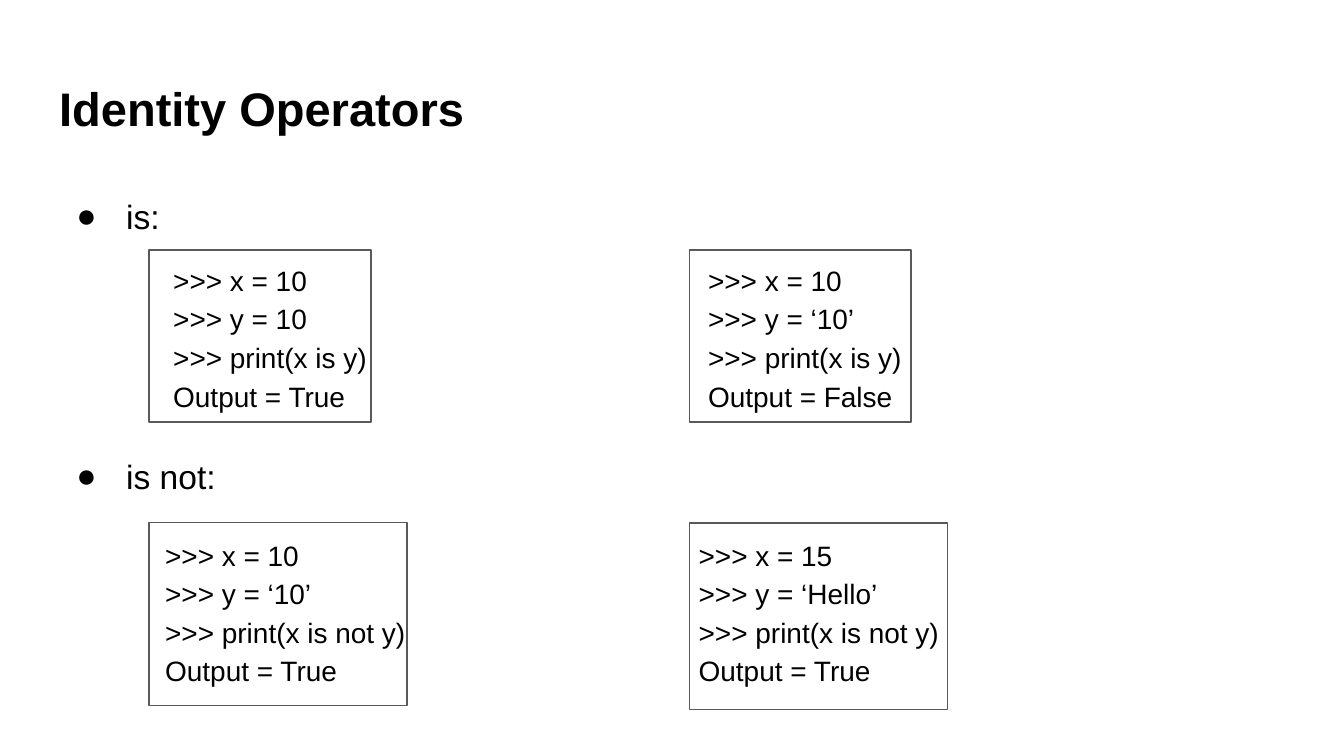
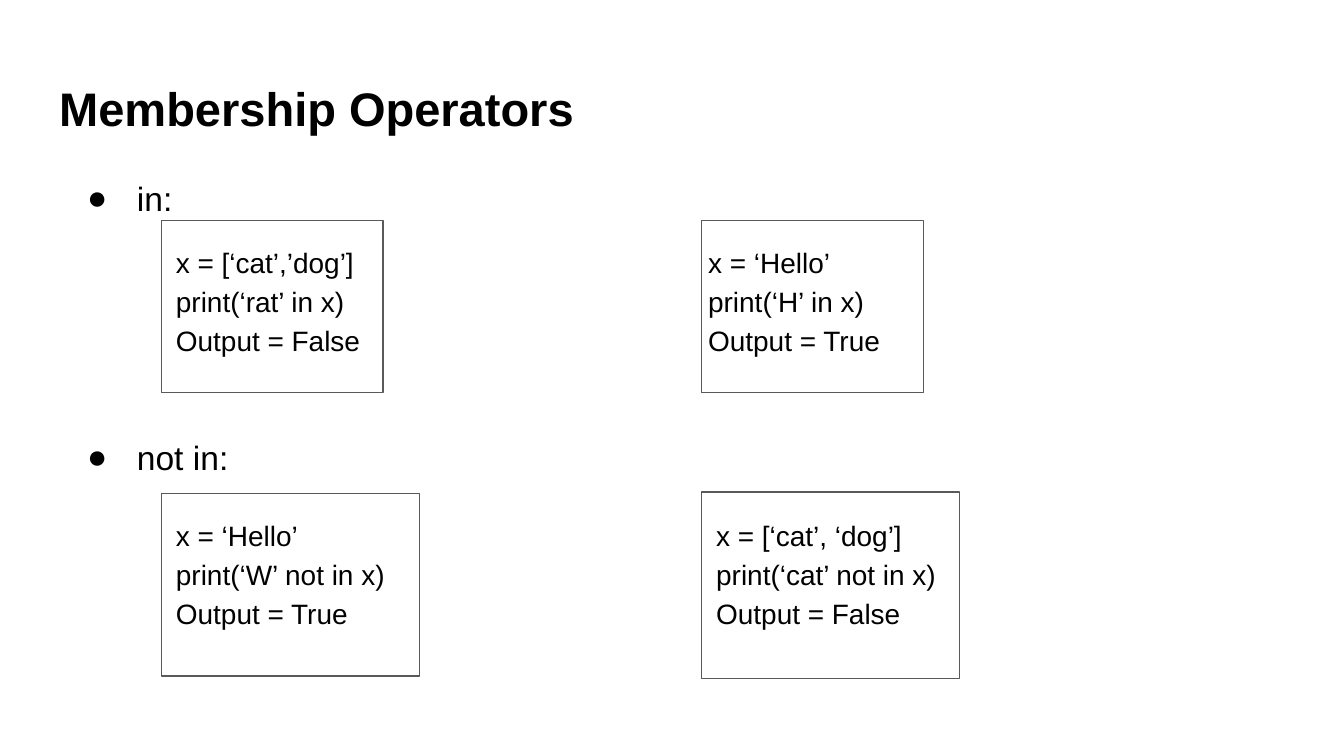
from lxml import etree
from pptx import Presentation
from pptx.dml.color import RGBColor
from pptx.enum.shapes import MSO_SHAPE
from pptx.enum.text import MSO_ANCHOR, MSO_AUTO_SIZE, PP_ALIGN
from pptx.oxml.ns import qn
from pptx.util import Inches, Pt

FONT = "Arial"
BLACK, GRAY = "000000", "595959"
CODE_LINE = 19.8  # height of one code line in points
COLUMN_PITCH = 4.02

# Each operator: name, space above it, space above its code, tab stops,
# code lines (left example, right example), box width, (top, height) of boxes.
SLIDES = [
    ("Identity Operators", 0.34, 1.31, 1.11, [
        ("is:", 0, 12, (0.85, 4.83), [
            (">>> x = 10", ">>> x = 10"),
            (">>> y = 10", ">>> y = ‘10’"),
            (">>> print(x is y)", ">>> print(x is y)"),
            ("Output = True", "Output = False"),
        ], 1.65, [(1.86, 1.28), (1.86, 1.28)]),
        ("is not:", CODE_LINE, CODE_LINE, (0.79, 4.76), [
            (">>> x = 10", ">>> x = 15"),
            (">>> y = ‘10’", ">>> y = ‘Hello’"),
            (">>> print(x is not y)", ">>> print(x is not y)"),
            ("Output = True", "Output = True"),
        ], 1.92, [(3.89, 1.36), (3.89, 1.39)]),
    ]),
    ("Membership Operators", 0.42, 1.18, 1.2, [
        ("in:", 0, 12, (0.79, 4.75), [
            ("x = [‘cat’,’dog’]", "x = ‘Hello’"),
            ("print(‘rat’ in x)", "print(‘H’ in x)"),
            ("Output = False", "Output = True"),
        ], 1.65, [(1.64, 1.28), (1.64, 1.28)]),
        ("not in:", 2 * CODE_LINE, CODE_LINE, (0.79, 4.81), [
            ("x = ‘Hello’", "x = [‘cat’, ‘dog’]"),
            ("print(‘W’ not in x)", "print(‘cat’ not in x)"),
            ("Output = True", "Output = False"),
        ], 1.92, [(3.67, 1.36), (3.66, 1.39)]),
    ]),
]


def rgb(color):
    return RGBColor.from_string(color)


def add_line(tf, text, size, before=0, tabs=()):
    """Append a body paragraph: tabbed code, or a bullet if it has no tabs."""
    p = tf.paragraphs[0] if not tf.text else tf.add_paragraph()
    p.text = text
    p.line_spacing, p.space_before = 1.15, Pt(before)
    p.font.name, p.font.size = FONT, Pt(size)
    p.font.color.rgb = rgb(BLACK)
    pPr = p._p.get_or_add_pPr()
    if tabs:
        tab_list = etree.Element(qn("a:tabLst"))
        for stop in tabs:
            etree.SubElement(tab_list, qn("a:tab"),
                             pos=str(Inches(stop)), algn="l")
        pPr[-1].addprevious(tab_list)
    else:
        pPr.set("marL", str(Inches(0.5)))
        pPr.set("indent", str(Inches(-0.37)))
        pPr[-1].addprevious(etree.Element(qn("a:buFont"), typeface=FONT))
        pPr[-1].addprevious(etree.Element(qn("a:buChar"), char="●"))


prs = Presentation()
prs.slide_width = Inches(10)
prs.slide_height = prs.slide_width * 9 // 16

for title, body_left, body_top, box_left, operators in SLIDES:
    s = prs.slides.add_slide(prs.slide_layouts[5])
    heading = s.shapes.title
    heading.left, heading.top = Inches(0.34), Inches(0.49)
    heading.width, heading.height = Inches(9.32), Inches(0.63)
    heading.text = title
    p = heading.text_frame.paragraphs[0]
    p.alignment = PP_ALIGN.LEFT
    p.font.name, p.font.size, p.font.bold = FONT, Pt(25.2), True
    p.font.color.rgb = rgb(BLACK)

    body = s.shapes.add_textbox(Inches(body_left), Inches(body_top),
                                Inches(9.32), Inches(3.98))
    for sp, anchor in ((heading, MSO_ANCHOR.MIDDLE), (body, MSO_ANCHOR.TOP)):
        tf = sp.text_frame
        tf.word_wrap, tf.auto_size = True, MSO_AUTO_SIZE.NONE
        tf.vertical_anchor = anchor
        tf.margin_left = tf.margin_right = Inches(0.1)
        tf.margin_top = tf.margin_bottom = Inches(0.1)

    for name, name_gap, code_gap, tabs, code, box_width, boxes in operators:
        add_line(body.text_frame, name, 18, name_gap)
        for i, (left_code, right_code) in enumerate(code):
            add_line(body.text_frame, f"\t{left_code}\t{right_code}", 15,
                     0 if i else code_gap, tabs)

        for column, (top, height) in enumerate(boxes):
            box = s.shapes.add_shape(
                MSO_SHAPE.RECTANGLE,
                Inches(box_left + column * COLUMN_PITCH), Inches(top),
                Inches(box_width), Inches(height))
            box.shadow.inherit = False
            box.fill.background()
            box.line.color.rgb = rgb(GRAY)
            box.line.width = Pt(0.75)

prs.save("out.pptx")
